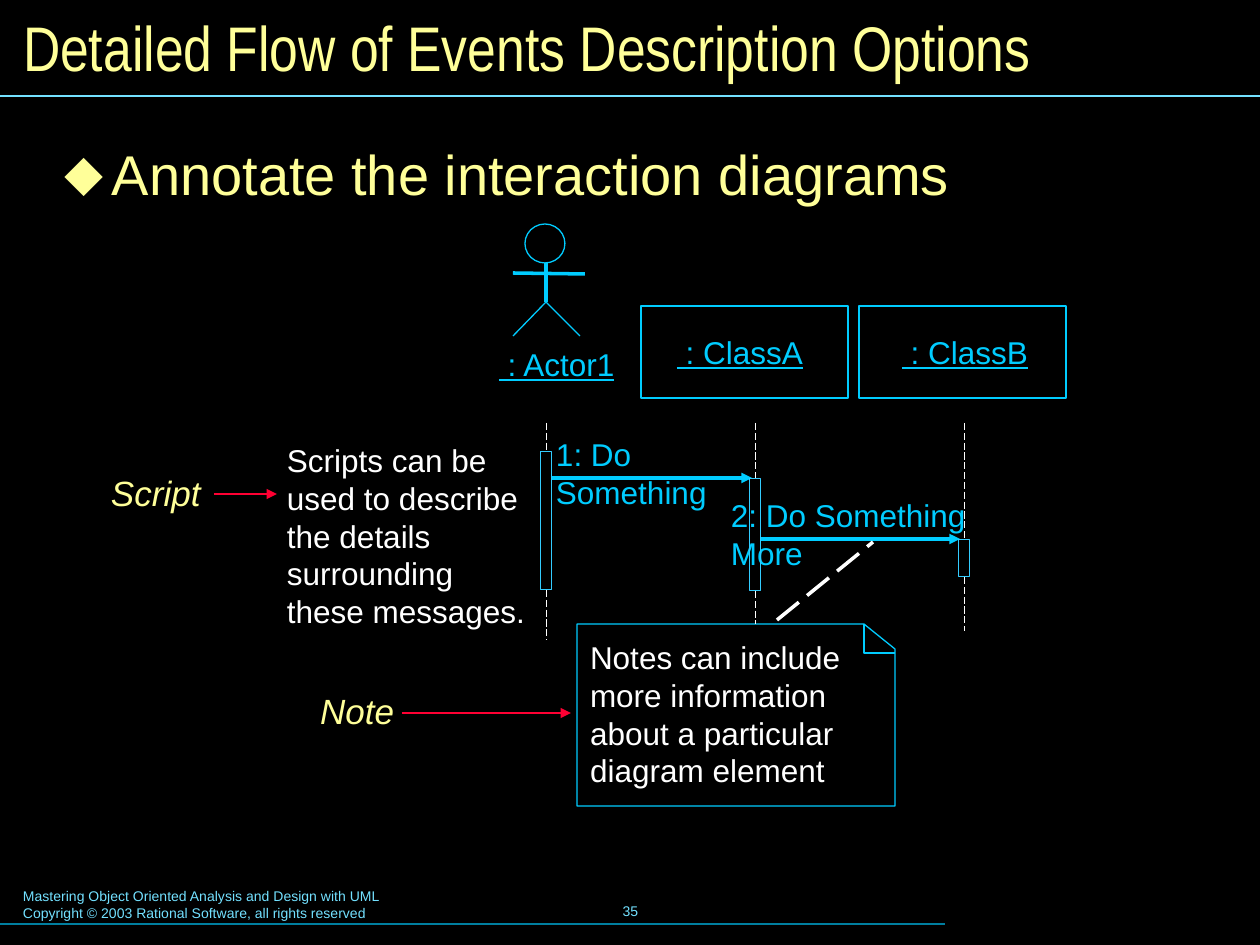
"""Build the slide on annotating interaction diagrams."""
from dataclasses import dataclass

from lxml.etree import SubElement
from pptx import Presentation
from pptx.dml.color import RGBColor
from pptx.enum.dml import MSO_LINE as Dash
from pptx.enum.shapes import MSO_CONNECTOR as Link, MSO_SHAPE as Kind
from pptx.enum.text import MSO_ANCHOR as Anchor, PP_ALIGN as Align
from pptx.oxml.ns import qn
from pptx.util import Emu, Pt

PX = 914400 / 126
BLACK = RGBColor(0x00, 0x00, 0x00)
WHITE = RGBColor(0xFF, 0xFF, 0xFF)
YELLOW = RGBColor(0xFF, 0xFF, 0x99)
CYAN = RGBColor(0x00, 0xCC, 0xFF)
BAR_CYAN = RGBColor(0x33, 0xCC, 0xFF)
PALE_CYAN = RGBColor(0x73, 0xE1, 0xFF)
TEAL = RGBColor(0x00, 0x7E, 0x9F)
RED = RGBColor(0xFF, 0x00, 0x33)
LIFELINE_TOP = 423
BAR_WIDTH = 12


@dataclass(frozen=True)
class Label:
    area: tuple[int, int, int, int]
    lines: tuple[str, ...]
    size: int = 18
    color: RGBColor = CYAN
    font: str = "Arial"
    inset: tuple[int, int] = (0, 0)
    wrap: bool = True
    underline: bool = False
    italic: bool = False
    middle: bool = False
    align: Align = Align.LEFT
    bullet: str = ""


@dataclass(frozen=True)
class Stroke:
    start: tuple[int, int]
    end: tuple[int, int]
    color: RGBColor = CYAN
    width: float = 0
    dashed: bool = False
    arrow: bool = False


@dataclass(frozen=True)
class Lifeline:
    center: int
    bar_top: int
    bar_height: int
    bottom: int


MARGINS = (13, 6)
LABELS = (
    Label((10, 882, 643, 47),
          ("Mastering Object Oriented Analysis and Design with UML",
           "Copyright © 2003 Rational Software, all rights reserved"),
          8, PALE_CYAN, inset=MARGINS),
    Label((431, 879, 399, 63), ("35",), 8, PALE_CYAN, inset=MARGINS,
          wrap=False, middle=True, align=Align.CENTER),
    Label((10, 10, 1240, 73), ("Detailed Flow of Events Description Options",),
          36, YELLOW, "Arial Narrow", MARGINS, middle=True),
    Label((50, 145, 1171, 696), ("Annotate the interaction diagrams",),
          32, YELLOW, inset=(15, 8), bullet="⬥"),
    Label((499, 345, 116, 38), (" : Actor1",), wrap=False, underline=True),
    Label((677, 333, 126, 38), (" : ClassA",), wrap=False, underline=True),
    Label((902, 333, 126, 38), (" : ClassB",), wrap=False, underline=True),
    Label((556, 435, 234, 38), ("1: Do Something",), wrap=False),
    Label((731, 496, 315, 38), ("2: Do Something More",), wrap=False),
    Label((287, 441, 249, 189),
          ("Scripts can be used to describe the details surrounding these messages.",),
          color=WHITE),
    Label((590, 638, 281, 151),
          ("Notes can include more information about a particular diagram element",),
          color=WHITE),
    Label((98, 465, 126, 55), ("Script",), 20, YELLOW, inset=MARGINS, italic=True),
    Label((307, 683, 105, 55), ("Note",), 20, YELLOW, inset=MARGINS, italic=True),
)
STROKES = (
    Stroke((0, 924), (945, 924), TEAL, 0.75),
    Stroke((0, 96), (1260, 96), PALE_CYAN, 0.75),
    Stroke((551, 478), (752, 478), arrow=True),
    Stroke((761, 539), (960, 539), arrow=True),
    Stroke((777, 620), (873, 542), WHITE, dashed=True),
    Stroke((214, 494), (277, 494), RED, 1.5, arrow=True),
    Stroke((402, 713), (571, 713), RED, 1.5, arrow=True),
)
LIFELINES = (
    Lifeline(546, 451, 139, 640),
    Lifeline(755, 478, 113, 624),
    Lifeline(964, 539, 38, 631),
)
CLASS_BOXES = ((641, 306, 207, 92), (859, 306, 207, 92))


def px(*values: int) -> list[Emu]:
    return [Emu(round(value * PX)) for value in values]


def add_label(shapes, label: Label) -> None:
    box = shapes.add_textbox(*px(*label.area))
    frame = box.text_frame
    frame.word_wrap = label.wrap
    frame.vertical_anchor = Anchor.MIDDLE if label.middle else Anchor.TOP
    across, down = px(*label.inset)
    frame.margin_left = frame.margin_right = across
    frame.margin_top = frame.margin_bottom = down
    for index, line in enumerate(label.lines):
        para = frame.add_paragraph() if index else frame.paragraphs[0]
        para.alignment = label.align
        if label.bullet:
            add_bullet(para, label)
        span = para.add_run()
        span.text = line
        font = span.font
        font.name, font.size = label.font, Pt(label.size)
        font.color.rgb = label.color
        font.underline = label.underline
        font.italic = label.italic


def add_bullet(para, label: Label) -> None:
    para.line_spacing = 0.8
    props = para._p.get_or_add_pPr()
    indent = px(47)[0]
    props.set("marL", str(indent))
    props.set("indent", str(-indent))
    color = SubElement(props, qn("a:buClr"))
    SubElement(color, qn("a:srgbClr"), val=str(label.color))
    SubElement(props, qn("a:buFont"), typeface=label.font)
    SubElement(props, qn("a:buChar"), char=label.bullet)


def add_stroke(shapes, stroke: Stroke):
    link = shapes.add_connector(Link.STRAIGHT, *px(*stroke.start, *stroke.end))
    line = link.line
    line.color.rgb = stroke.color
    line.width = Pt(stroke.width)
    if stroke.dashed:
        line.dash_style = Dash.LONG_DASH
    if stroke.arrow:
        SubElement(line._get_or_add_ln(), qn("a:tailEnd"), type="triangle")
    SubElement(link._element.spPr, qn("a:effectLst"))
    return link


def outline(shape, color: RGBColor = CYAN, width: float = 0):
    shape.shadow.inherit = False
    shape.fill.background()
    shape.line.color.rgb = color
    shape.line.width = Pt(width)
    return shape


def add_path(shapes, points: list[tuple[int, int]], close: bool = False) -> None:
    builder = shapes.build_freeform(*points[0], scale=PX)
    builder.add_line_segments(points[1:], close=close)
    outline(builder.convert_to_shape())


def add_actor(shapes) -> None:
    parts = shapes.add_group_shape().shapes
    outline(parts.add_shape(Kind.OVAL, *px(525, 224, 40, 39)))
    add_stroke(parts, Stroke((546, 263), (546, 302)))
    add_stroke(parts, Stroke((513, 273), (585, 274)))
    add_path(parts, [(513, 336), (546, 302), (580, 336)])


def add_lifeline(shapes, life: Lifeline) -> None:
    bar_bottom = life.bar_top + life.bar_height
    bar = shapes.add_shape(Kind.RECTANGLE, *px(
        life.center - BAR_WIDTH // 2, life.bar_top, BAR_WIDTH, life.bar_height))
    outline(bar, BAR_CYAN, 0.5)
    above = Stroke((life.center, LIFELINE_TOP), (life.center, life.bar_top),
                   WHITE, 0.5, dashed=True)
    below = Stroke((life.center, bar_bottom), (life.center, life.bottom),
                   WHITE, 0.5, dashed=True)
    add_stroke(shapes, above).end_connect(bar, 0)
    add_stroke(shapes, below).begin_connect(bar, 2)


def main() -> None:
    deck = Presentation()
    deck.slide_width, deck.slide_height = px(1260, 945)
    page = deck.slides.add_slide(deck.slide_layouts[6])
    page.background.fill.solid()
    page.background.fill.fore_color.rgb = BLACK
    shapes = page.shapes
    add_actor(shapes)
    for area in CLASS_BOXES:
        outline(shapes.add_shape(Kind.RECTANGLE, *px(*area)))
    add_path(shapes, [(577, 624), (864, 624), (895, 649), (895, 806), (577, 806)], True)
    add_path(shapes, [(864, 624), (864, 653), (895, 653)])
    for label in LABELS:
        add_label(shapes, label)
    for stroke in STROKES:
        add_stroke(shapes, stroke)
    for life in LIFELINES:
        add_lifeline(shapes, life)
    deck.save("out.pptx")


if __name__ == "__main__":
    main()
